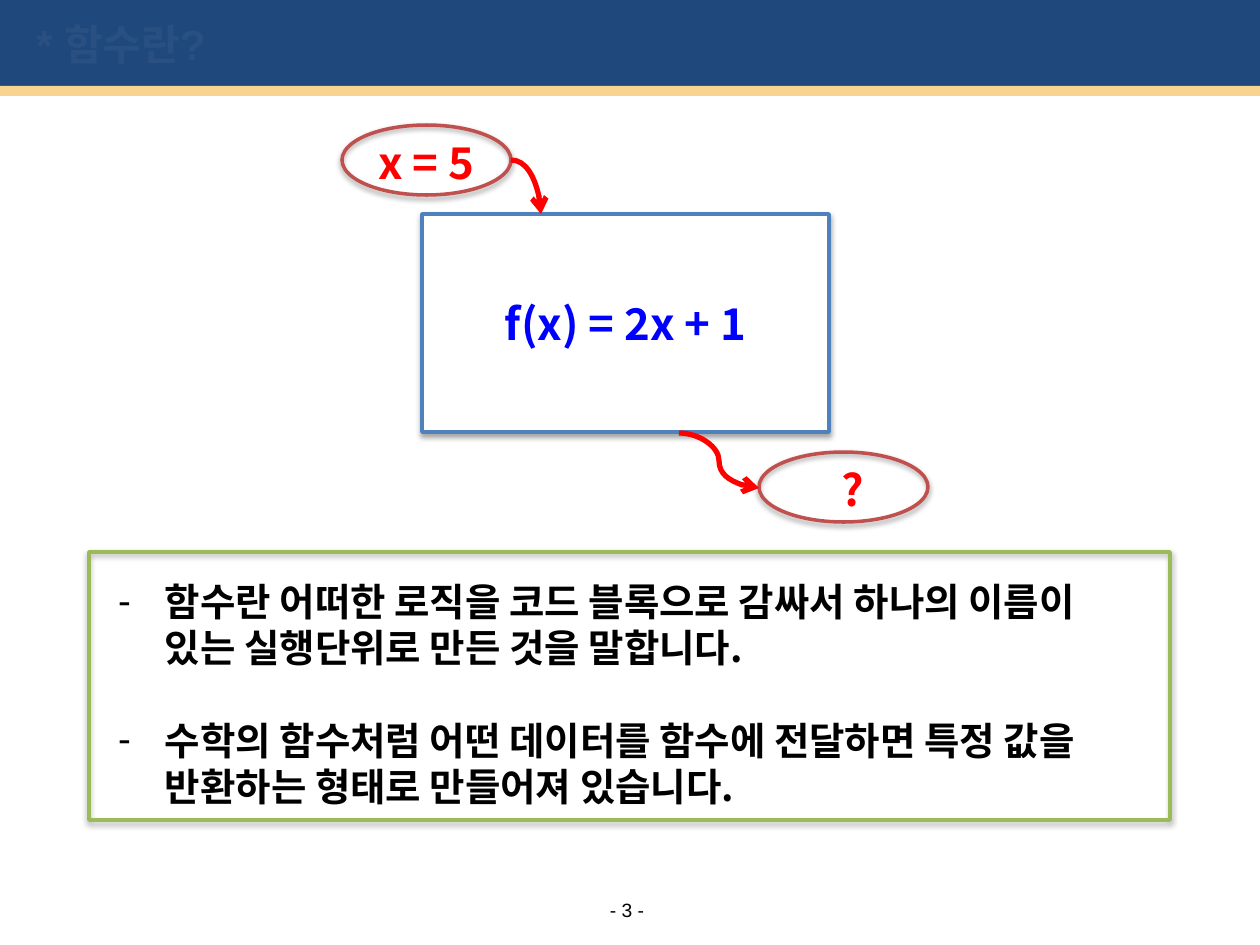
from pptx import Presentation
from pptx.dml.color import RGBColor
from pptx.enum.shapes import MSO_CONNECTOR, MSO_SHAPE
from pptx.enum.text import MSO_ANCHOR, MSO_AUTO_SIZE, PP_ALIGN
from pptx.oxml import parse_xml
from pptx.oxml.ns import nsdecls
from pptx.oxml.xmlchemy import OxmlElement
from pptx.util import Pt

PX = 914400 / 126
HANGUL, LATIN = "Noto Sans CJK KR", "Arial"

NAVY = RGBColor(0x1F, 0x49, 0x7D)
FAINT_NAVY = RGBColor(0x2A, 0x50, 0x82)
SAND = RGBColor(0xF9, 0xD4, 0x90)
BLUE_LINE = RGBColor(0x4F, 0x81, 0xBD)
GREEN_LINE = RGBColor(0x9B, 0xBB, 0x59)
ROSE_LINE = RGBColor(0xC0, 0x50, 0x4D)
WHITE = RGBColor(0xFF, 0xFF, 0xFF)
BLACK = RGBColor(0, 0, 0)
BLUE = RGBColor(0, 0, 0xFF)
RED = RGBColor(0xFF, 0, 0)

SHADOW = (
    f'<a:effectLst {nsdecls("a")}>'
    '<a:outerShdw blurRad="40000" dist="23000" dir="5400000" rotWithShape="0">'
    '<a:srgbClr val="000000"><a:alpha val="35000"/></a:srgbClr>'
    "</a:outerShdw></a:effectLst>"
)


def px(*lengths):
    return [round(length * PX) for length in lengths]


def write(para, text, size=25, color=BLACK, bold=True, font=LATIN, align=PP_ALIGN.CENTER):
    para.alignment = align
    span = para.add_run()
    span.text = text
    span.font.size = Pt(size)
    span.font.bold = bold
    span.font.name = font
    span.font.color.rgb = color
    east_asian = OxmlElement("a:ea")
    east_asian.set("typeface", HANGUL)
    span.font._element.find("{*}latin").addnext(east_asian)


class SlideBuilder:
    def __init__(self, deck):
        self.page = deck.slides.add_slide(deck.slide_layouts[1])

    def frame(self, box, anchor=MSO_ANCHOR.MIDDLE, inset=(0, 0), wrap=True):
        frame = box.text_frame
        frame.auto_size = MSO_AUTO_SIZE.NONE
        frame.word_wrap = wrap
        frame.vertical_anchor = anchor
        frame.margin_left = frame.margin_right = px(inset[0])[0]
        frame.margin_top = frame.margin_bottom = px(inset[1])[0]
        return frame

    def place(self, box, area):
        box.left, box.top, box.width, box.height = px(*area)

    def title(self, area, text, **style):
        box = self.page.shapes.title
        self.place(box, area)
        self.page.shapes._spTree.append(box._element)  # in front of the band
        write(self.frame(box).paragraphs[0], text, align=PP_ALIGN.LEFT, **style)

    def bullets(self, area, items, size, indent, line):
        box = self.page.placeholders[1]
        self.place(box, area)
        frame = self.frame(box, MSO_ANCHOR.TOP, (13, 6))
        for number, item in enumerate(items):
            para = frame.add_paragraph() if number else frame.paragraphs[0]
            props = para._p.get_or_add_pPr()
            hanging = px(indent)[0]
            props.set("marL", str(hanging))
            props.set("indent", str(-hanging))
            bullet = OxmlElement("a:buChar")
            bullet.set("char", "-")
            props.append(bullet)
            para.line_spacing = Pt(line)
            para.space_before = Pt(line if number else 0)
            write(para, item, size=size, font=HANGUL, align=PP_ALIGN.LEFT)

    def label(self, area, text, wrap=True, **style):
        box = self.page.shapes.add_textbox(*px(*area))
        write(self.frame(box, wrap=wrap).paragraphs[0], text, **style)

    def shape(self, kind, area, fill=None, line=None, text=None, **style):
        shape = self.page.shapes.add_shape(kind, *px(*area))
        shape.shadow.inherit = False
        if fill is None:
            shape.fill.background()
        else:
            shape.fill.solid()
            shape.fill.fore_color.rgb = fill
        if line is None:
            shape.line.fill.background()
        else:
            shape.line.color.rgb = line
            shape.line.width = Pt(2)
            props = shape._element.spPr
            props.replace(props.find("{*}effectLst"), parse_xml(SHADOW))
        if text:
            write(self.frame(shape).paragraphs[0], text, **style)

    def curve(self, start, end, preset):
        arrow = self.page.shapes.add_connector(MSO_CONNECTOR.CURVE, *px(*start, *end))
        arrow.line.color.rgb = RED
        arrow.line.width = Pt(3)
        props = arrow._element.spPr
        props.find("{*}prstGeom").set("prst", preset)
        head = OxmlElement("a:tailEnd")
        head.set("type", "arrow")
        props.find("{*}ln").append(head)
        props.append(OxmlElement("a:effectLst"))


def main():
    deck = Presentation()
    deck.slide_width, deck.slide_height = px(1260, 945)
    slide = SlideBuilder(deck)

    # Header band, title and page number
    slide.shape(MSO_SHAPE.RECTANGLE, (0, -4, 1260, 96), fill=NAVY)
    slide.shape(MSO_SHAPE.RECTANGLE, (0, 86, 1260, 10), fill=SAND)
    slide.title((36, 8, 1150, 72), "* 함수란?", size=24, color=FAINT_NAVY)
    slide.label((600, 898, 54, 24), "- 3 -", wrap=False, size=11, bold=False)

    # Definition of a function
    slide.bullets((105, 572, 1032, 339), [
        "함수란 어떠한 로직을 코드 블록으로 감싸서 하나의 이름이 있는 실행단위로 만든 것을 말합니다.",
        "수학의 함수처럼 어떤 데이터를 함수에 전달하면 특정 값을 반환하는 형태로 만들어져 있습니다.",
    ], size=22, indent=47, line=26.4)
    slide.shape(MSO_SHAPE.FLOWCHART_PROCESS, (89, 552, 1081, 268), line=GREEN_LINE)

    # Function box with its input and output
    slide.shape(MSO_SHAPE.RECTANGLE, (422, 214, 407, 218), fill=WHITE, line=BLUE_LINE,
                text="f(x) = 2x + 1", color=BLUE, font=HANGUL)
    for ellipse, label, text in [((342, 125), (273, 130), "x = 5"),
                                 ((759, 452), (699, 457), "?")]:
        slide.shape(MSO_SHAPE.OVAL, (*ellipse, 169, 70), line=ROSE_LINE)
        slide.label((*label, 307, 64), text, color=RED, font=HANGUL)
    slide.curve((511, 160), (541, 214), "curvedConnector2")
    slide.curve((679, 433), (759, 488), "curvedConnector3")

    deck.save("out.pptx")


if __name__ == "__main__":
    main()
